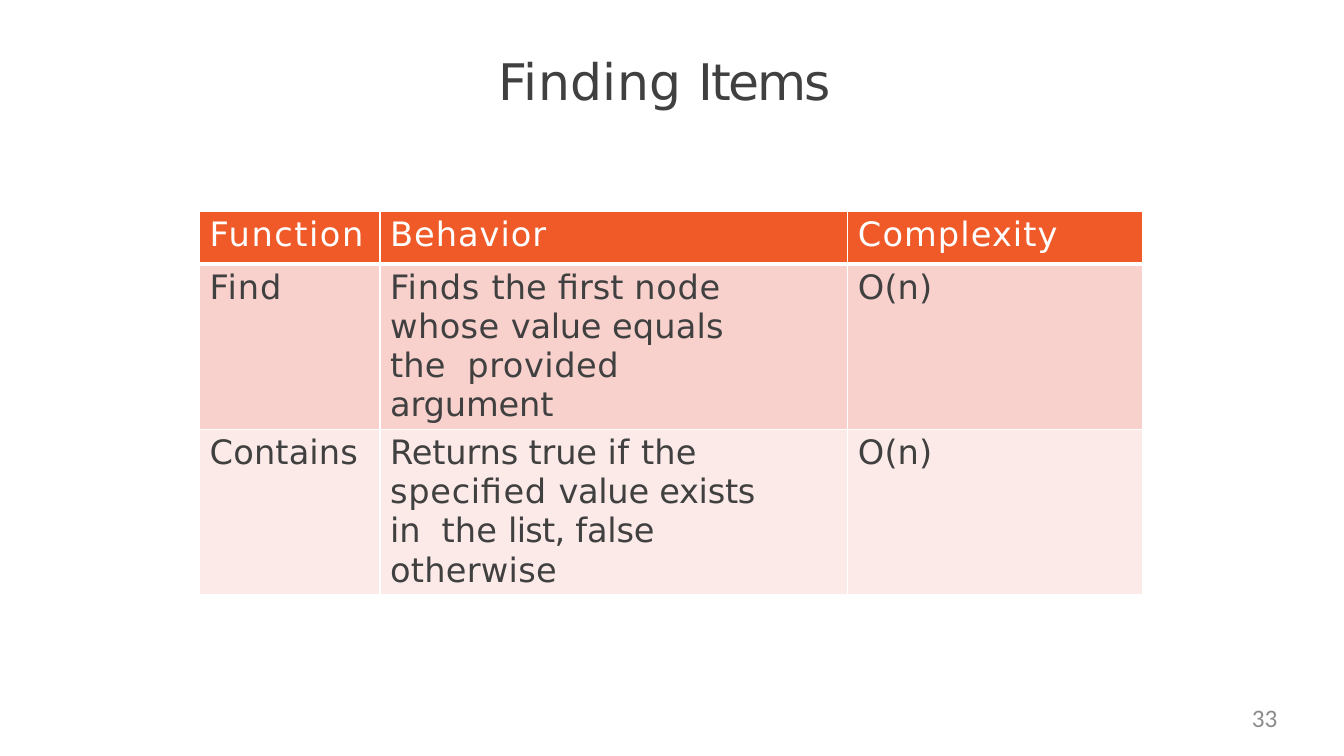
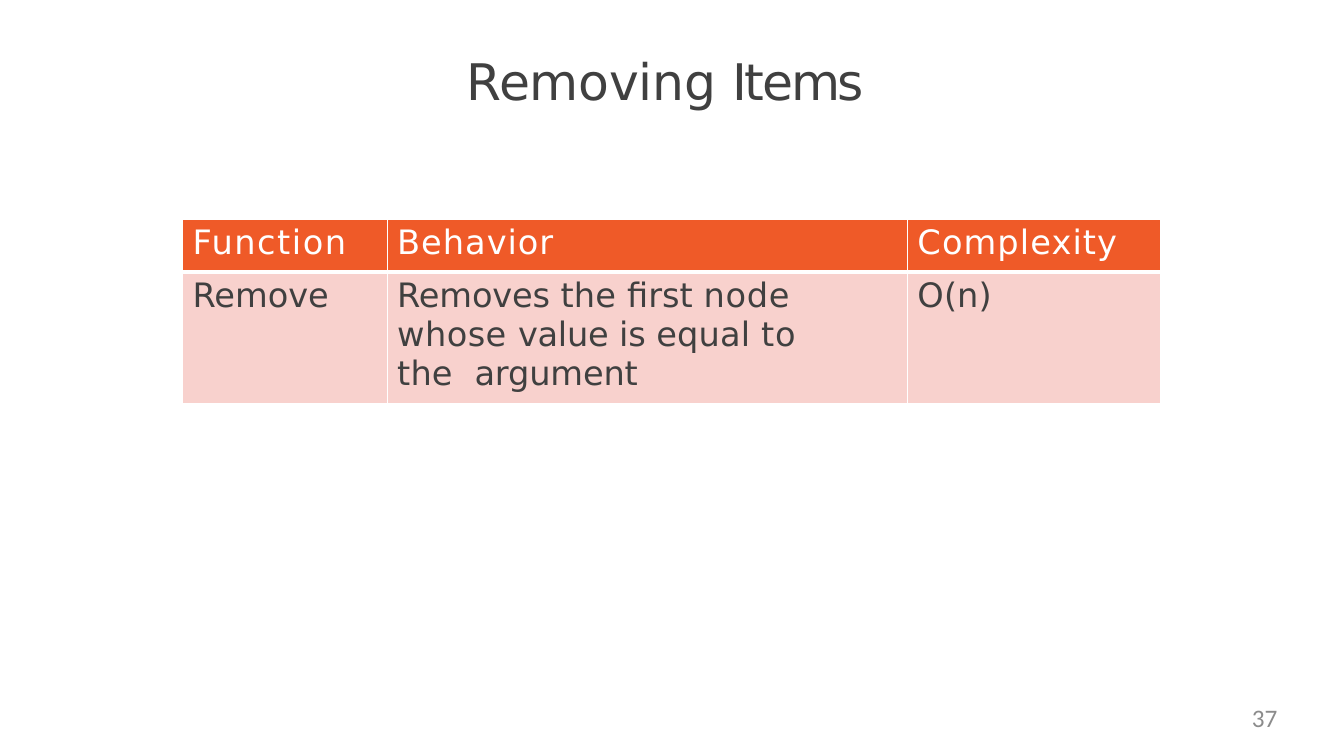
from dataclasses import dataclass
from typing import Any

from lxml.etree import SubElement
from pptx import Presentation
from pptx.dml.color import RGBColor
from pptx.enum.text import MSO_ANCHOR, MSO_AUTO_SIZE, PP_ALIGN
from pptx.oxml.ns import qn
from pptx.util import Inches, Pt

WHITE = RGBColor(0xFF, 0xFF, 0xFF)
ORANGE = RGBColor(0xEF, 0x5A, 0x28)
ROSE = RGBColor(0xF8, 0xD1, 0xCD)
BLUSH = RGBColor(0xFB, 0xEA, 0xE8)
DARK = RGBColor(0x40, 0x40, 0x40)
GREY = RGBColor(0x8C, 0x8C, 0x8C)
FILLS = (ORANGE, ROSE, BLUSH)

HEAD = {"name": "DejaVu Sans", "size": Pt(36), "bold": False}
BODY = {"name": "DejaVu Sans", "size": Pt(24), "bold": False}
FOOT = {"name": "Calibri", "size": Pt(18), "bold": False}
FRAME = {"margin_left": 0, "margin_top": 0, "margin_right": 0,
         "margin_bottom": 0, "word_wrap": True,
         "vertical_anchor": MSO_ANCHOR.TOP,
         "auto_size": MSO_AUTO_SIZE.SHAPE_TO_FIT_TEXT}
CELL = {"margin_left": Inches(0.1), "margin_top": Inches(0.04),
        "margin_right": 0, "margin_bottom": 0}
MID = 6.62
WRAP = 0.77

Runs = list[tuple[str, float]]
Row = list[Runs]

HEADER: Row = [[("Function", 1.1)], [("Behavior", 0.7)], [("Complexity", 0.8)]]
LINEAR: Runs = [("O(n)", 0.1)]


@dataclass
class Page:
    """Content and measures of one slide."""
    title: Runs
    width: float
    left: float
    top: float
    cols: list[float]
    rows: list[Row]
    number: str


PAGES = [
    Page([("Finding ", 0.3), ("Items", -1.6)], 3.38, 1.98, 2.1,
         [1.79, 4.64, 2.92],
         [[[("Find", 0.7)],
           [("Finds ", 0.5), ("the ", 0.1), ("first ", 0), ("node  ", 0.5),
            ("whose ", 0.3), ("value ", -0.2), ("equals the  ", 0.1),
            ("provided ", 0.4), ("argument", -0.1)],
           LINEAR],
          [[("Contains", 0.1)],
           [("Returns true ", -0.1), ("if ", 0.4), ("the  ", 0.1),
            ("specified ", 0.5), ("value exists ", -0.2), ("in  ", -0.1),
            ("the ", 0.1), ("list, ", -0.5), ("false ", -0.1),
            ("otherwise", 0.2)],
           LINEAR]],
         "33"),
    Page([("Removing ", -0.2), ("Items", -1.6)], 4, 1.81, 2.18,
         [2.03, 5.16, 2.51],
         [[[("Remove", 0)],
           [("Removes ", -0.1), ("the ", 0.1), ("first ", 0), ("node  ", 0.5),
            ("whose ", 0.3), ("value ", -0.2), ("is ", -0.1), ("equal ", 0.1),
            ("to ", 0.6), ("the  ", 0.1), ("argument", -0.1)],
           LINEAR]],
         "37"),
]


def style(item: Any, look: dict[str, Any]) -> None:
    """Set every format value on the item."""
    for key, value in look.items():
        setattr(item, key, value)


def write(frame: Any, runs: Runs, look: dict[str, Any], color: RGBColor,
          align: PP_ALIGN = PP_ALIGN.LEFT) -> None:
    """Write letter-spaced runs into the first paragraph."""
    para = frame.paragraphs[0]
    para.alignment = align
    for text, space in runs:
        run = para.add_run()
        run.text = text
        style(run.font, look)
        run.font.color.rgb = color
        if space:
            run._r.get_or_add_rPr().set("spc", str(round(space * 100)))


def edge(cell: Any, side: str, width: float) -> None:
    """Draw a white border on one side of a cell."""
    line = SubElement(cell._tc.get_or_add_tcPr(), qn(f"a:ln{side}"),
                      w=str(Pt(width)))
    fill = SubElement(line, qn("a:solidFill"))
    SubElement(fill, qn("a:srgbClr"), val=str(WHITE))


def grid(slide: Any, page: Page) -> None:
    """Add the table of functions."""
    rows = [HEADER, *page.rows]
    highs = [0.52] + [1.3] * len(page.rows)
    table = slide.shapes.add_table(
        len(rows), len(page.cols), Inches(page.left), Inches(page.top),
        Inches(sum(page.cols)), Inches(sum(highs))).table
    table.horz_banding = False
    for col, width in zip(table.columns, page.cols):
        col.width = Inches(width)
    for r, row in enumerate(rows):
        table.rows[r].height = Inches(highs[r])
        for c, runs in enumerate(row):
            cell = table.cell(r, c)
            style(cell, CELL)
            if r and c == 1:
                cell.margin_right = Inches(WRAP)
            for side in "LRTB":
                thick = (r, side) in ((0, "B"), (1, "T"))
                edge(cell, side, 3 if thick else 1)
            cell.fill.solid()
            cell.fill.fore_color.rgb = FILLS[r]
            write(cell.text_frame, runs, BODY, DARK if r else WHITE)


def build(deck: Any, page: Page) -> None:
    """Add one slide with title, table and page number."""
    slide = deck.slides.add_slide(deck.slide_layouts[5])
    title = slide.shapes.title
    style(title, {"left": Inches(MID - page.width / 2), "top": Inches(0.48),
                  "width": Inches(page.width), "height": Inches(0.63)})
    style(title.text_frame, FRAME | {"margin_left": Inches(0.01),
                                     "margin_top": Inches(0.02)})
    write(title.text_frame, page.title, HEAD, DARK)
    grid(slide, page)
    foot = slide.shapes.add_textbox(Inches(9.6), Inches(6.97),
                                    Inches(3.07), Inches(0.38))
    style(foot.text_frame, FRAME)
    write(foot.text_frame, [(page.number, 0)], FOOT, GREY, PP_ALIGN.RIGHT)


def main() -> None:
    """Build and save the deck."""
    deck = Presentation()
    style(deck, {"slide_width": Inches(13.33), "slide_height": Inches(7.5)})
    for page in PAGES:
        build(deck, page)
    deck.save("out.pptx")


if __name__ == "__main__":
    main()
